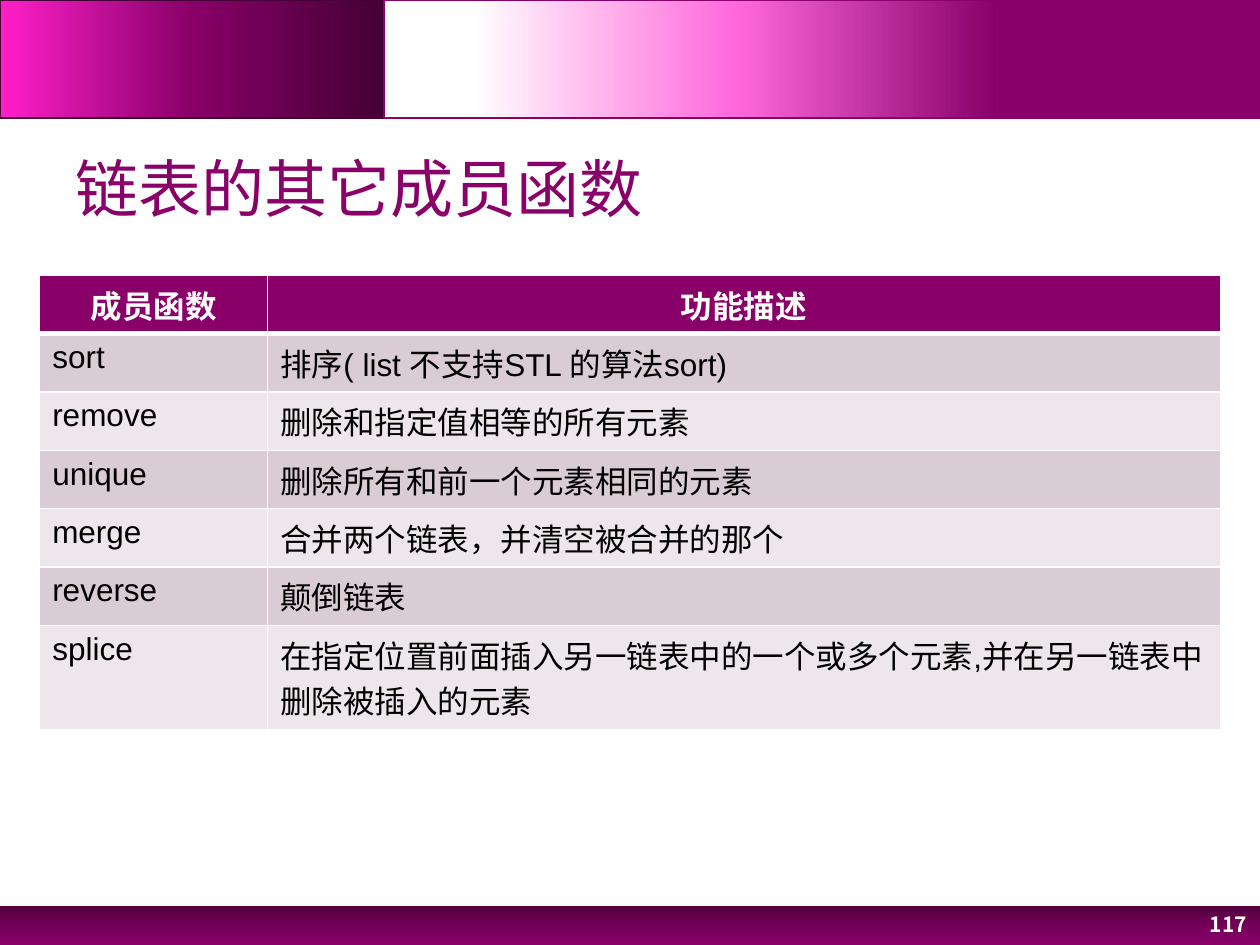
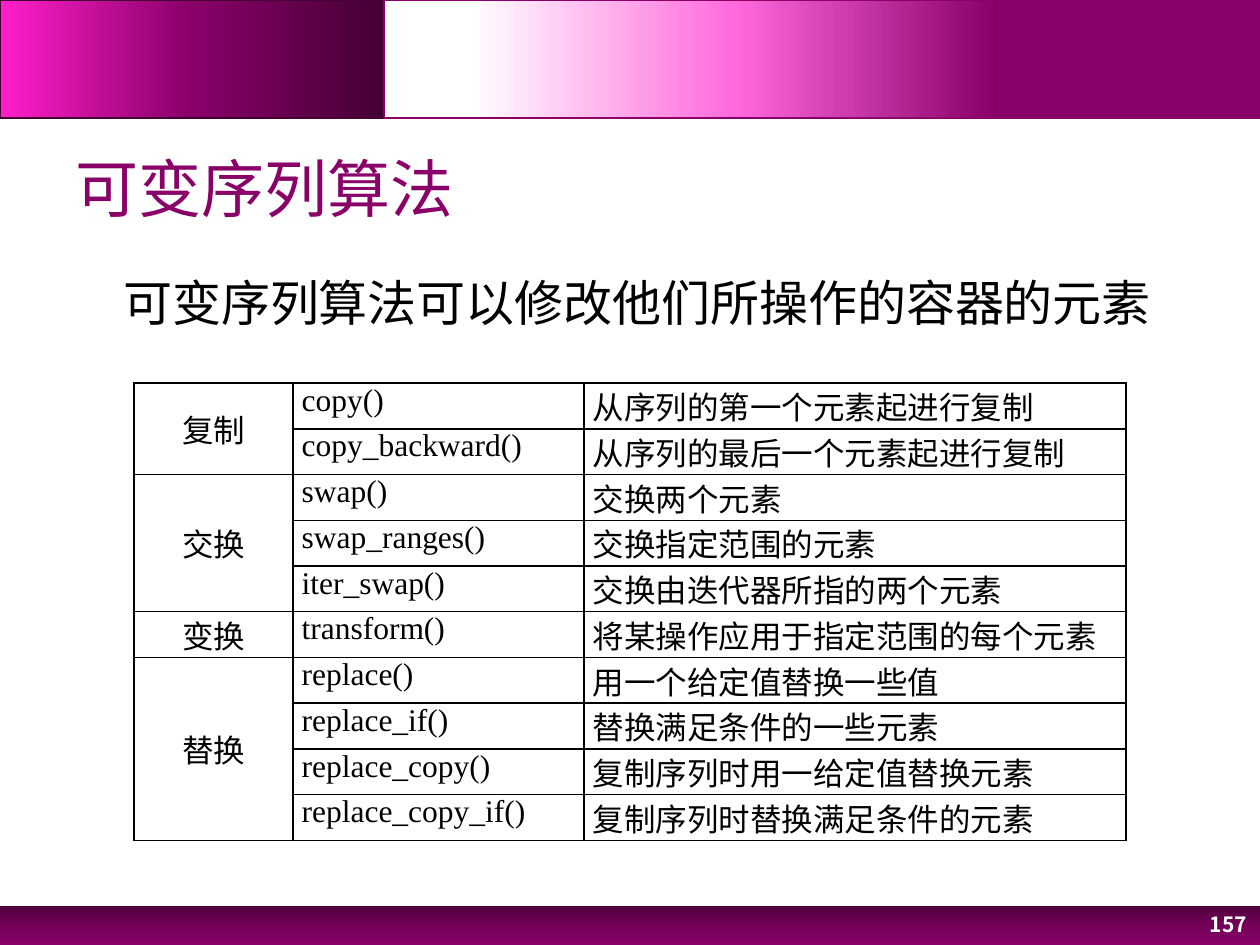
from copy import deepcopy

from lxml import etree
from pptx import Presentation
from pptx.dml.color import RGBColor
from pptx.enum.shapes import MSO_SHAPE
from pptx.enum.text import MSO_ANCHOR, PP_ALIGN
from pptx.oxml.ns import qn
from pptx.util import Inches, Pt

RECTANGLE = MSO_SHAPE.RECTANGLE
TOP, MIDDLE = MSO_ANCHOR.TOP, MSO_ANCHOR.MIDDLE
LEFT, CENTER, RIGHT = PP_ALIGN.LEFT, PP_ALIGN.CENTER, PP_ALIGN.RIGHT
JUSTIFY = PP_ALIGN.JUSTIFY

# The slide is a grid of 100 columns by 75 rows of square units.
WIDTH, HEIGHT = 100, 75
UNIT = Inches(0.1)
BAND_HEIGHT = 9.4
BAND_SPLIT = 30.5
FOOTER_TOP = 71.9

# Table rows are as tall as their lines of text plus the cell margins.
LINE_HEIGHT = 3.63
CELL_MARGINS = 1

COLORS = {
    "plum": "880068",
    "deep": "440034",
    "footer_dark": "51003E",
    "footer_mid": "730058",
    "magenta": "FF1FCA",
    "pink": "FF69DC",
    "white": "FFFFFF",
    "black": "000000",
    "row_dark": "DACCD4",
    "row_light": "EDE7EB",
}
SANS, SERIF, CJK = "Arial", "Times New Roman", "Noto Sans CJK SC"

LIST_FUNCTIONS = [
    ("成员函数", "功能描述"),
    ("sort", "排序( list 不支持STL 的算法sort)"),
    ("remove", "删除和指定值相等的所有元素"),
    ("unique", "删除所有和前一个元素相同的元素"),
    ("merge", "合并两个链表，并清空被合并的那个"),
    ("reverse", "颠倒链表"),
    ("splice", "在指定位置前面插入另一链表中的一个或多个元素,并在另一链表中删除被插入的元素"),
]
ALGORITHMS = {
    "复制": [
        ("copy()", "从序列的第一个元素起进行复制"),
        ("copy_backward()", "从序列的最后一个元素起进行复制"),
    ],
    "交换": [
        ("swap()", "交换两个元素"),
        ("swap_ranges()", "交换指定范围的元素"),
        ("iter_swap()", "交换由迭代器所指的两个元素"),
    ],
    "变换": [("transform()", "将某操作应用于指定范围的每个元素")],
    "替换": [
        ("replace()", "用一个给定值替换一些值"),
        ("replace_if()", "替换满足条件的一些元素"),
        ("replace_copy()", "复制序列时用一给定值替换元素"),
        ("replace_copy_if()", "复制序列时替换满足条件的元素"),
    ],
}


def units(*lengths):
    return [round(length * UNIT) for length in lengths]


def rgb(name):
    return RGBColor.from_string(COLORS[name])


def write(frame, text, size, color, font=SANS, bold=False, align=LEFT):
    frame.text = text
    para = frame.paragraphs[0]
    para.alignment = align
    for span in para.runs:
        span.font.size = Pt(size)
        span.font.bold = bold
        span.font.name = font
        span.font.color.rgb = rgb(color)
        east_asian = etree.SubElement(span.font._element, qn("a:ea"))
        east_asian.set("typeface", CJK)


def add_text(page, area, text, size, color, anchor=MIDDLE, **style):
    box = page.shapes.add_textbox(*units(*area))
    frame = box.text_frame
    frame.word_wrap = True
    frame.vertical_anchor = anchor
    write(frame, text, size, color, **style)
    return frame


def add_band(page, area, stops, angle, line=None):
    """Draw a gradient rectangle; stops are three (position, color) pairs."""
    band = page.shapes.add_shape(RECTANGLE, *units(*area))
    band.shadow.inherit = False
    band.fill.gradient()
    band.fill.gradient_angle = angle
    stop_list = band._element.spPr.find(".//" + qn("a:gsLst"))
    stop_list.append(deepcopy(stop_list[0]))
    for stop, (position, color) in zip(band.fill.gradient_stops, stops):
        stop.color.rgb = rgb(color)
        stop.position = position
    if line:
        band.line.color.rgb = rgb(line)
        band.line.width = Pt(1)
    else:
        band.line.fill.background()


def add_page(deck, title, number):
    page = deck.slides.add_slide(deck.slide_layouts[6])
    add_band(page, (0, FOOTER_TOP, WIDTH, HEIGHT - FOOTER_TOP),
             [(0, "footer_dark"), (0.5, "footer_mid"), (1, "plum")], 270)
    add_band(page, (0, 0, BAND_SPLIT, BAND_HEIGHT),
             [(0, "deep"), (0.5, "plum"), (1, "magenta")], 180, "deep")
    add_band(page, (BAND_SPLIT, 0, WIDTH - BAND_SPLIT, BAND_HEIGHT),
             [(0.3, "plum"), (0.6, "pink"), (0.9, "white")], 180, "plum")
    add_text(page, (5, 10.95, 90, 7.8), title, 36, "plum")
    add_text(page, (91.75, 71.65, 8.2, 3.35), str(number), 12, "white",
             font=CJK, bold=True, align=RIGHT)
    return page


def add_grid(page, left, top, columns, rows, header):
    table = page.shapes.add_table(
        len(rows), len(columns),
        *units(left, top, sum(columns), sum(rows))).table
    table.first_row = header
    table.horz_banding = False
    for column, width in zip(table.columns, units(*columns)):
        column.width = width
    for row, height in zip(table.rows, units(*rows)):
        row.height = height
    return table


def set_borders(cell, color, bottom=1):
    properties = cell._tc.get_or_add_tcPr()
    for side, width in (("L", 1), ("R", 1), ("T", 1), ("B", bottom)):
        line = etree.SubElement(properties, qn("a:ln" + side), w=str(Pt(width)))
        fill = etree.SubElement(line, qn("a:solidFill"))
        etree.SubElement(fill, qn("a:srgbClr"), val=COLORS[color])


def add_function_table(page):
    rows = [LINE_HEIGHT + CELL_MARGINS] * len(LIST_FUNCTIONS)
    rows[-1] += LINE_HEIGHT  # the last description wraps onto a second line
    table = add_grid(page, 3.15, 21.85, (18.1, 75.6), rows, header=True)
    for row, texts in enumerate(LIST_FUNCTIONS):
        header = row == 0
        shade = "plum" if header else "row_dark" if row % 2 else "row_light"
        for column, text in enumerate(texts):
            cell = table.cell(row, column)
            set_borders(cell, "white", bottom=3 if header else 1)
            cell.fill.solid()
            cell.fill.fore_color.rgb = rgb(shade)
            write(cell.text_frame, text, 18, "white" if header else "black",
                  bold=header, align=CENTER if header else LEFT)


def add_algorithm_table(page):
    rows = [LINE_HEIGHT] * sum(map(len, ALGORITHMS.values()))
    table = add_grid(page, 10.65, 30.4, (12.6, 23.1, 43), rows, header=False)
    for cell in table.iter_cells():
        set_borders(cell, "black")
        cell.fill.background()
        cell.margin_left = cell.margin_right = Inches(0.07)
        cell.margin_top = cell.margin_bottom = 0

    first = 0
    for group, entries in ALGORITHMS.items():
        label = table.cell(first, 0)
        if len(entries) > 1:
            label.merge(table.cell(first + len(entries) - 1, 0))
        label.vertical_anchor = MIDDLE
        write(label.text_frame, group, 18, "black", SERIF, align=CENTER)
        for row, texts in enumerate(entries, first):
            for column, text in enumerate(texts, 1):
                write(table.cell(row, column).text_frame, text, 18, "black",
                      SERIF, align=JUSTIFY)
        first += len(entries)


def add_statement(page, text):
    frame = add_text(page, (5, 21.1, 90, 49.2), text, 28, "black", anchor=TOP)
    frame.paragraphs[0]._p.get_or_add_pPr().set("marL", str(Inches(0.38)))


def main():
    deck = Presentation()
    deck.slide_width, deck.slide_height = units(WIDTH, HEIGHT)

    page = add_page(deck, "链表的其它成员函数", 117)
    add_function_table(page)

    page = add_page(deck, "可变序列算法", 157)
    add_statement(page, "可变序列算法可以修改他们所操作的容器的元素")
    add_algorithm_table(page)

    deck.save("out.pptx")


if __name__ == "__main__":
    main()
